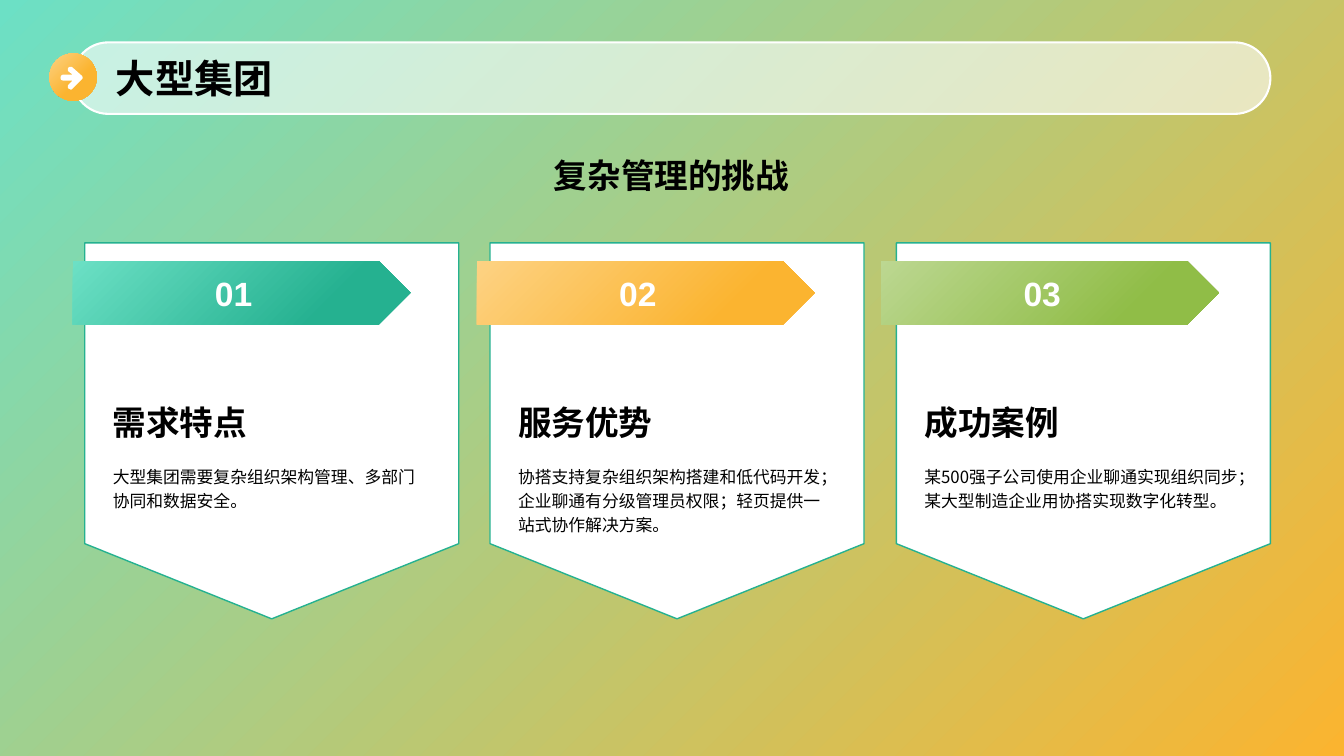
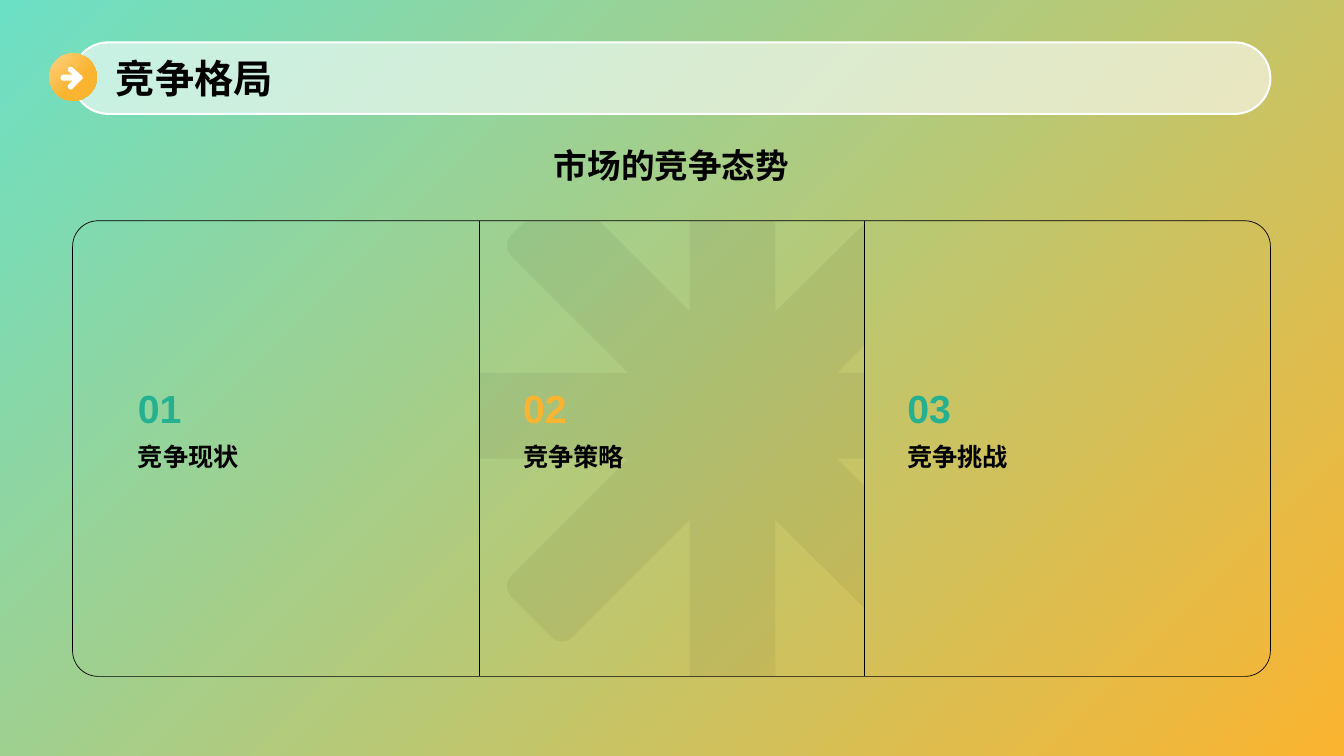
from lxml.etree import SubElement
from pptx import Presentation
from pptx.dml.color import RGBColor
from pptx.enum.shapes import MSO_CONNECTOR, MSO_SHAPE
from pptx.enum.text import MSO_ANCHOR, MSO_AUTO_SIZE, PP_ALIGN
from pptx.oxml.ns import qn
from pptx.util import Pt

PX = 9144  # 100 px to the inch
COLORS = {
    "black": "000000", "white": "FFFFFF",
    "mint": "6CE0C5", "teal": "25B190",
    "peach": "FDD283", "orange": "FBB430",
    "sage": "BCD791", "green": "90BD47",
}
CHINESE, LATIN = "Noto Sans CJK SC", "Arial"
STYLES = {
    "title": dict(size=28, name=CHINESE, bold=True),
    "heading": dict(size=24, name=CHINESE, bold=True),
    "label": dict(size=18, name=CHINESE, bold=True),
    "body": dict(size=12, name=CHINESE, bold=False),
    "banner": dict(size=24, name=LATIN, bold=True),
    "number": dict(size=28, name=LATIN, bold=True),
}

CHALLENGE = {
    "title": "大型集团",
    "heading": "复杂管理的挑战",
    "cards": [
        ("需求特点", "大型集团需要复杂组织架构管理、多部门协同和数据安全。", "mint", "teal"),
        ("服务优势", "协搭支持复杂组织架构搭建和低代码开发；企业聊通有分级管理员权限；"
                 "轻页提供一站式协作解决方案。", "peach", "orange"),
        ("成功案例", "某500强子公司使用企业聊通实现组织同步；某大型制造企业用协搭实现数字化转型。",
         "sage", "green"),
    ],
}
COMPETITION = {
    "title": "竞争格局",
    "heading": "市场的竞争态势",
    "columns": [("竞争现状", "teal"), ("竞争策略", "orange"), ("竞争挑战", "teal")],
}

# Outlines in px: two numbers are a corner, six are a Bézier curve.
ARROW = [
    (68, 88), (69, 88, 70, 89, 70, 89), (71, 89, 72, 88, 72, 88), (81, 79),
    (81, 79, 82, 78, 82, 77), (82, 77, 82, 76, 81, 75), (72, 67),
    (71, 66, 69, 66, 68, 67), (67, 68, 67, 70, 68, 71), (72, 74), (63, 74),
    (61, 74, 60, 76, 60, 77), (60, 79, 61, 80, 63, 80), (72, 80), (68, 84),
    (67, 85, 67, 87, 68, 88),
]
ASTERISK = [
    (521, 219), (594, 219), (684, 309), (684, 219), (769, 219), (769, 309),
    (857, 222), (857, 343), (830, 370), (857, 370), (857, 455), (830, 455),
    (857, 482), (857, 603), (769, 516), (769, 671), (684, 671), (684, 516),
    (568, 632), (562, 638, 553, 638, 547, 632), (507, 592),
    (501, 586, 501, 577, 507, 571), (623, 455), (475, 455), (475, 370),
    (623, 370), (507, 254), (501, 248, 501, 239, 507, 233),
]


def px(*lengths):
    return [round(length * PX) for length in lengths]


def rgb(color):
    return RGBColor.from_string(COLORS[color])


def gradient(fill, start, end, stop=1.0):
    """Fill diagonally, from top left to bottom right."""
    fill.gradient()
    fill.gradient_angle = 315
    for mark, color, position in zip(fill.gradient_stops, (start, end), (0, stop)):
        mark.color.rgb = rgb(color)
        mark.position = position


def paint(shape, fill=None, alpha=None, line=None, width=1):
    """Set fill (a color or a gradient tuple), opacity in percent and outline."""
    shape.shadow.inherit = False
    if isinstance(fill, tuple):
        gradient(shape.fill, *fill)
    elif fill:
        shape.fill.solid()
        shape.fill.fore_color.rgb = rgb(fill)
    else:
        shape.fill.background()
    if alpha:
        color = shape.fill._xPr.find(qn("a:solidFill"))[0]
        SubElement(color, qn("a:alpha"), val=str(alpha * 1000))
    if line:
        shape.line.color.rgb = rgb(line)
        shape.line.width = Pt(width)
    else:
        shape.line.fill.background()
    return shape


def add_shape(page, preset, place, adjust=None, **look):
    shape = page.shapes.add_shape(preset, *px(*place))
    if adjust is not None:
        shape.adjustments[0] = adjust
    return paint(shape, **look)


def add_outline(page, outline, **look):
    points = []
    for step in outline:
        if len(step) == 2:
            points.append(step)
            continue
        curve = [points[-1], step[:2], step[2:4], step[4:]]
        for t in (0.25, 0.5, 0.75, 1):
            weights = ((1 - t) ** 3, 3 * t * (1 - t) ** 2, 3 * t * t * (1 - t), t ** 3)
            points.append(tuple(sum(w * p[axis] for w, p in zip(weights, curve))
                                for axis in (0, 1)))
    corners = [px(*point) for point in points]
    builder = page.shapes.build_freeform(*corners[0], scale=1.0)
    builder.add_line_segments(corners[1:], close=True)
    return paint(builder.convert_to_shape(), **look)


def add_divider(page, x, top, bottom):
    line = page.shapes.add_connector(MSO_CONNECTOR.STRAIGHT, *px(x, top, x, bottom))
    line.line.color.rgb = rgb("black")
    line.line.width = Pt(0.5)
    SubElement(line.element.spPr, qn("a:effectLst"))


def write(shape, text, style, color="black", anchor=MSO_ANCHOR.MIDDLE,
          align=PP_ALIGN.LEFT, spacing=None):
    frame = shape.text_frame
    settings = dict(word_wrap=True, auto_size=MSO_AUTO_SIZE.NONE, vertical_anchor=anchor)
    for name, value in settings.items():
        setattr(frame, name, value)
    para = frame.paragraphs[0]
    para.alignment = align
    if spacing:
        para.line_spacing = spacing
    span = para.add_run()
    span.text = text
    for name, value in STYLES[style].items():
        setattr(span.font, name, Pt(value) if name == "size" else value)
    span.font.color.rgb = rgb(color)
    SubElement(span._r.get_or_add_rPr(), qn("a:ea"), typeface=STYLES[style]["name"])


def add_text(page, place, text, style, **format_values):
    write(page.shapes.add_textbox(*px(*place)), text, style, **format_values)


def move_to_layout(layout, shapes):
    for index, shape in enumerate(shapes):
        shape.element.xpath(".//p:cNvPr")[0].set("id", str(100 + index))
        layout.shapes.element.insert(2 + index, shape.element)


def prepare_layout(layout, page):
    """Give the layout its background, title band and title place."""
    gradient(layout.background.fill, "mint", "orange")
    title = layout.placeholders[0]
    title.left, title.top, title.width, title.height = px(105, 46, 1134, 63)
    move_to_layout(layout, [
        add_shape(page, MSO_SHAPE.ROUNDED_RECTANGLE, (72, 42, 1188, 71), adjust=0.5,
                  fill="white", alpha=60, line="white", width=1.5),
        add_shape(page, MSO_SHAPE.OVAL, (49, 53, 47, 47), fill=("peach", "orange", 0.6)),
        add_outline(page, ARROW, fill="white"),
    ])


def add_headings(page, content, top, height):
    write(page.shapes.title, content["title"], "title")
    add_text(page, (72, top, 1188, height), content["heading"], "heading",
             align=PP_ALIGN.CENTER)


def fill_challenge(page):
    add_headings(page, CHALLENGE, 136, 76)
    for index, (heading, body, start, end) in enumerate(CHALLENGE["cards"]):
        left = 84 + round(402.5 * index)
        add_shape(page, MSO_SHAPE.FLOWCHART_OFFPAGE_CONNECTOR, (left, 241, 371, 373),
                  fill="white", line="teal")
        add_text(page, (left + 18, 356, 335, 88), heading, "heading",
                 anchor=MSO_ANCHOR.BOTTOM)
        add_text(page, (left + 18, 454, 335, 131), body, "body",
                 anchor=MSO_ANCHOR.TOP, spacing=1.2)
        banner = add_shape(page, MSO_SHAPE.PENTAGON, (72 + 401 * index, 259, 335, 63),
                           fill=(start, end, 0.75))
        write(banner, f"{index + 1:02}", "banner", color="white", align=PP_ALIGN.CENTER)


def fill_competition(page):
    top, height = 219, 452
    add_outline(page, ASTERISK, fill="black", alpha=5)
    add_headings(page, COMPETITION, 124, 79)
    for index, (label, color) in enumerate(COMPETITION["columns"]):
        left = 127 + round(381.5 * index)
        add_text(page, (left, 433, 315, 94), label, "label", anchor=MSO_ANCHOR.TOP)
        add_text(page, (left, 363, 315, 70), f"{index + 1:02}", "number", color=color,
                 anchor=MSO_ANCHOR.BOTTOM)
    for x in (475, 857):
        add_divider(page, x, top, top + height)
    add_shape(page, MSO_SHAPE.ROUNDED_RECTANGLE, (72, top, 1188, height), adjust=0.056,
              line="black", width=0.5)


def main():
    deck = Presentation()
    deck.slide_width, deck.slide_height = px(1333, 750)
    layout = deck.slide_layouts.get_by_name("Title Only")
    challenge, competition = [deck.slides.add_slide(layout) for _ in range(2)]
    prepare_layout(layout, challenge)
    fill_challenge(challenge)
    fill_competition(competition)
    deck.save("out.pptx")


if __name__ == "__main__":
    main()
